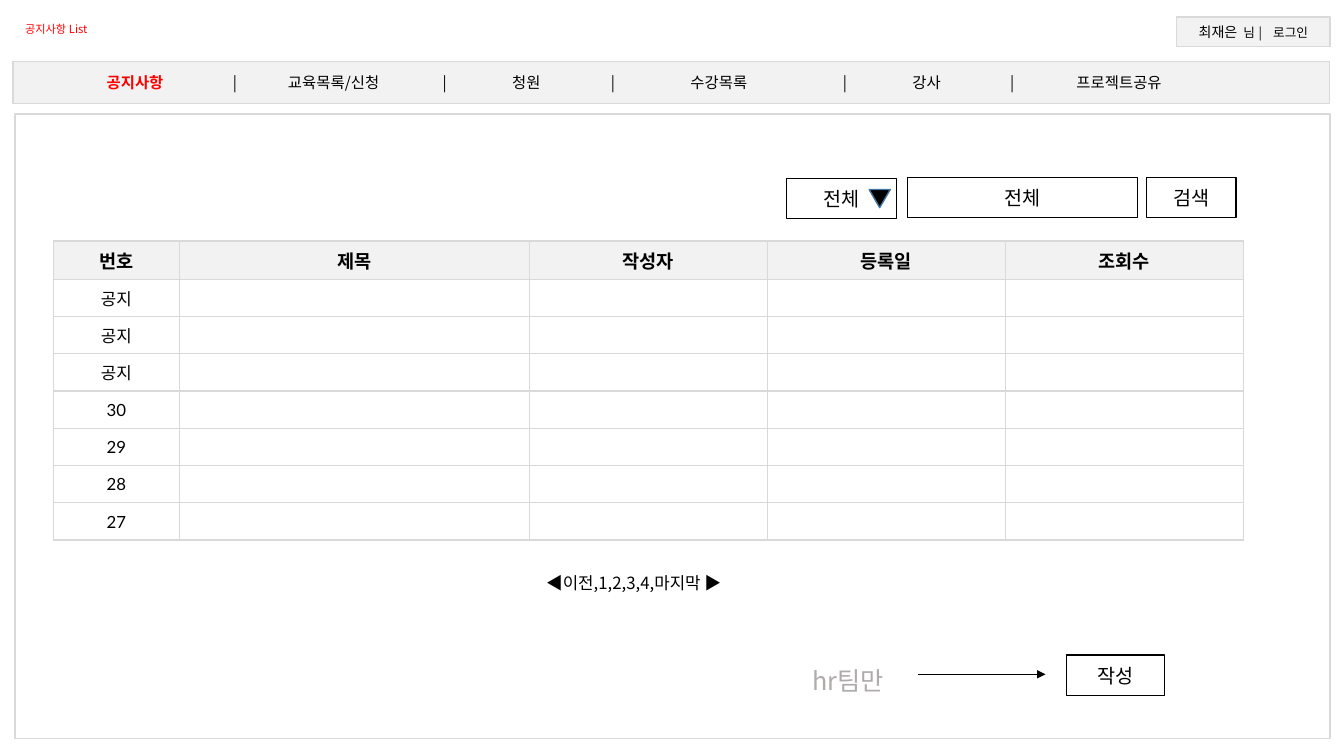
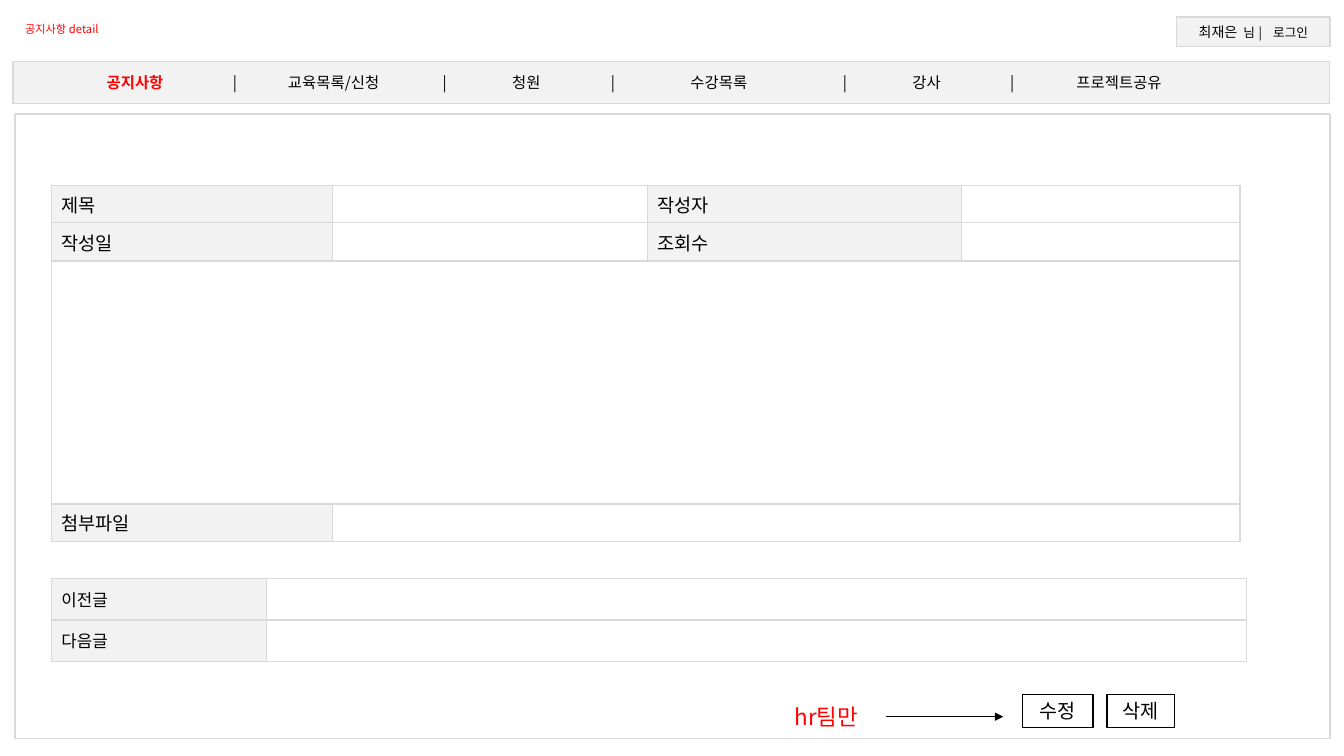
from lxml import etree
from pptx import Presentation
from pptx.dml.color import RGBColor
from pptx.enum.shapes import MSO_CONNECTOR, MSO_SHAPE
from pptx.enum.text import MSO_ANCHOR, PP_ALIGN
from pptx.oxml.ns import qn
from pptx.util import Inches, Pt

RECT, MERGE = MSO_SHAPE.RECTANGLE, MSO_SHAPE.FLOWCHART_MERGE
STRAIGHT = MSO_CONNECTOR.STRAIGHT
MIDDLE, TOP = MSO_ANCHOR.MIDDLE, MSO_ANCHOR.TOP
LEFT, CENTER = PP_ALIGN.LEFT, PP_ALIGN.CENTER

BLACK, WHITE, RED = "000000", "FFFFFF", "FF0000"
BAND, BORDER, MUTED, ARROW_EDGE = "F2F2F2", "D9D9D9", "AFABAB", "43739E"
KOREAN, TABLE_FONT = "Noto Sans CJK KR", "Lato"

# Shared content: (text, centre x, size) along each strip
ACCOUNT = [("최재은", 12.08, 10), ("님", 12.39, 9), ("|", 12.5, 9), ("로그인", 12.8, 9)]
MENU = [("공지사항", 1.34, 11), ("|", 2.33, 11), ("교육목록/신청", 3.31, 11),
        ("|", 4.41, 11), ("청원", 5.22, 11), ("|", 6.08, 11),
        ("수강목록", 7.13, 11), ("|", 8.38, 11), ("강사", 9.19, 11),
        ("|", 10.04, 11), ("프로젝트공유", 11.1, 11)]

# List page
LIST_HEAD = ["번호", "제목", "작성자", "등록일", "조회수"]
LIST_NUMBERS = ["공지", "공지", "공지", "30", "29", "28", "27"]
LIST_COLUMNS = [1.25, 3.47, 2.36, 2.36, 2.36]
LIST_BUTTONS = [("전체", (9, 1.76, 2.28, 0.4)), ("검색", (11.37, 1.76, 0.89, 0.4)),
                ("작성", (10.58, 6.5, 0.97, 0.4))]
PAGER = "◀이전,1,2,3,4,마지막 ▶"
STAFF_ONLY = "hr팀만"

# Detail page
DETAIL_ROWS = [["제목", "", "작성자", ""], ["작성일", "", "조회수", ""],
               ["", "", "", ""], ["첨부파일", "", "", ""]]
DETAIL_COLUMNS = [2.79, 3.12, 3.12, 2.76]
DETAIL_HEIGHTS = [0.37, 0.38, 2.41, 0.37]
DETAIL_MERGES = [((2, 0), (2, 3)), ((3, 1), (3, 3))]
NEIGHBOURS = [["이전글", ""], ["다음글", ""]]
DETAIL_BUTTONS = [("수정", (10.14, 6.89, 0.7, 0.33)), ("삭제", (10.98, 6.89, 0.67, 0.33))]


def rgb(value):
    return RGBColor.from_string(value)


def style_span(span, size, color=BLACK, bold=False, font=KOREAN):
    span.font.size, span.font.bold, span.font.name = Pt(size), bold, font
    span.font.color.rgb = rgb(color)
    east_asian = etree.SubElement(span._r.get_or_add_rPr(), qn("a:ea"))
    east_asian.set("typeface", KOREAN)


def write(frame, text, size, color=BLACK, align=CENTER, anchor=MIDDLE):
    frame.text, frame.word_wrap, frame.vertical_anchor = text, True, anchor
    para = frame.paragraphs[0]
    para.alignment = align
    style_span(para.runs[0], size, color)


def add_box(shapes, area, fill=None, line=None, preset=RECT):
    box = shapes.add_shape(preset, *map(Inches, area))
    box.shadow.inherit = False
    if fill:
        box.fill.solid()
        box.fill.fore_color.rgb = rgb(fill)
    else:
        box.fill.background()
    if line:
        box.line.color.rgb, box.line.width = rgb(line), Pt(1)
    else:
        box.line.fill.background()
    return box


def add_button(shapes, label, area):
    write(add_box(shapes, area, WHITE, BLACK).text_frame, label, 14)


def add_label(page, text, area, size, color=BLACK, align=CENTER, anchor=MIDDLE):
    box = page.shapes.add_textbox(*map(Inches, area))
    write(box.text_frame, text, size, color, align, anchor)


def add_strip(page, area, items, active=None):
    """Grey band whose words sit on centred tab stops."""
    frame = add_box(page.shapes, area, BAND, BORDER).text_frame
    frame.margin_left = frame.margin_right = 0
    frame.vertical_anchor = MIDDLE
    para = frame.paragraphs[0]
    para.alignment = LEFT
    stops = etree.SubElement(para._p.get_or_add_pPr(), qn("a:tabLst"))
    for text, center, size in items:
        etree.SubElement(stops, qn("a:tab"), pos=str(Inches(center - area[0])), algn="ctr")
        span = para.add_run()
        span.text = "\t" + text
        chosen = text == active
        style_span(span, size, RED if chosen else BLACK, chosen)


def add_arrow(page, start, end, y):
    arrow = page.shapes.add_connector(STRAIGHT, Inches(start), Inches(y), Inches(end), Inches(y))
    arrow.line.color.rgb, arrow.line.width = rgb(BLACK), Pt(0.5)
    etree.SubElement(arrow.line._get_or_add_ln(), qn("a:tailEnd"), type="triangle")
    etree.SubElement(arrow._element.spPr, qn("a:effectLst"))


def style_cell(cell, text, size, fill, align, bold):
    properties = cell._tc.get_or_add_tcPr()
    for side in ("lnL", "lnR", "lnT", "lnB"):
        edge = etree.SubElement(properties, qn("a:" + side), w=str(Pt(1)))
        paint = etree.SubElement(edge, qn("a:solidFill"))
        etree.SubElement(paint, qn("a:srgbClr"), val=BORDER)
    cell.fill.solid()
    cell.fill.fore_color.rgb = rgb(fill)
    cell.vertical_anchor = MIDDLE
    para = cell.text_frame.paragraphs[0]
    para.alignment = align
    if text:
        para.text = text
        style_span(para.runs[0], size, bold=bold, font=TABLE_FONT)
    else:
        etree.SubElement(para._p, qn("a:endParaRPr"), sz="1200")


def add_grid(page, corner, rows, columns, heights, size, align=LEFT, header=False, merges=()):
    """A header table shades its first row; a form shades its labels."""
    area = (*corner, sum(columns), sum(heights))
    table = page.shapes.add_table(len(rows), len(columns), *map(Inches, area)).table
    table.first_row = table.horz_banding = False
    for column, width in zip(table.columns, columns):
        column.width = Inches(width)
    for r, (words, height) in enumerate(zip(rows, heights)):
        table.rows[r].height = Inches(height)
        heading = header and r == 0
        for c, text in enumerate(words):
            shaded = heading if header else bool(text)
            style_cell(table.cell(r, c), text, 13.3 if heading else size,
                       BAND if shaded else WHITE, align, heading)
    for first, last in merges:
        table.cell(*first).merge(table.cell(*last))


def add_page(deck, title):
    page = deck.slides.add_slide(deck.slide_layouts[6])
    add_box(page.shapes, (0.15, 1.13, 13.04, 6.2), line=BORDER)
    add_label(page, title, (0.15, 0.17, 2.9, 0.24), 8, RED, LEFT, TOP)
    add_strip(page, (11.67, 0.17, 1.52, 0.29), ACCOUNT)
    add_strip(page, (0.13, 0.61, 13.06, 0.42), MENU, active="공지사항")
    return page


def build_list(deck):
    page = add_page(deck, "공지사항 List")
    rows = [LIST_HEAD] + [[number, "", "", "", ""] for number in LIST_NUMBERS]
    heights = [0.38] + [0.37] * len(LIST_NUMBERS)
    add_grid(page, (0.53, 2.39), rows, LIST_COLUMNS, heights, 12, CENTER, header=True)
    for label, area in LIST_BUTTONS:
        add_button(page.shapes, label, area)
    # Dropdown
    dropdown = page.shapes.add_group_shape()
    add_button(dropdown.shapes, "전체", (7.8, 1.77, 1.09, 0.4))
    add_box(dropdown.shapes, (8.62, 1.88, 0.21, 0.18), BLACK, ARROW_EDGE, MERGE)
    # Pager and staff note
    add_label(page, PAGER, (3.93, 5.58, 4.71, 0.4), 12)
    add_label(page, STAFF_ONLY, (7.83, 6.55, 1.17, 0.4), 18, MUTED)
    add_arrow(page, 9.1, 10.37, 6.69)


def build_detail(deck):
    page = add_page(deck, "공지사항 detail")
    add_grid(page, (0.51, 1.84), DETAIL_ROWS, DETAIL_COLUMNS, DETAIL_HEIGHTS, 13.3,
             merges=DETAIL_MERGES)
    add_grid(page, (0.51, 5.74), NEIGHBOURS, [2.13, 9.72], [0.41, 0.41], 12)
    for label, area in DETAIL_BUTTONS:
        add_button(page.shapes, label, area)
    add_label(page, STAFF_ONLY, (7.61, 6.91, 1.17, 0.4), 16, RED)
    add_arrow(page, 8.79, 9.95, 7.11)


def main():
    deck = Presentation()
    deck.slide_width, deck.slide_height = Inches(13.33), Inches(7.5)
    build_list(deck)
    build_detail(deck)
    deck.save("out.pptx")


if __name__ == "__main__":
    main()
